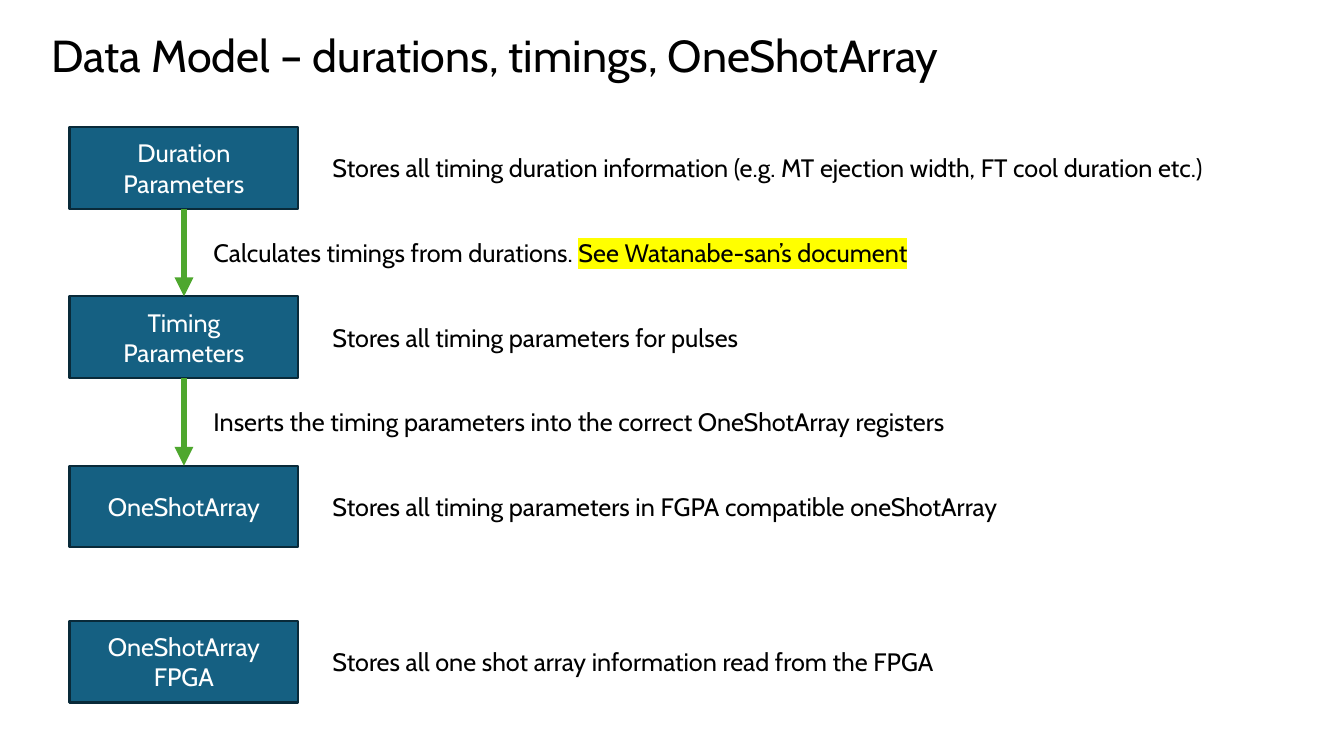
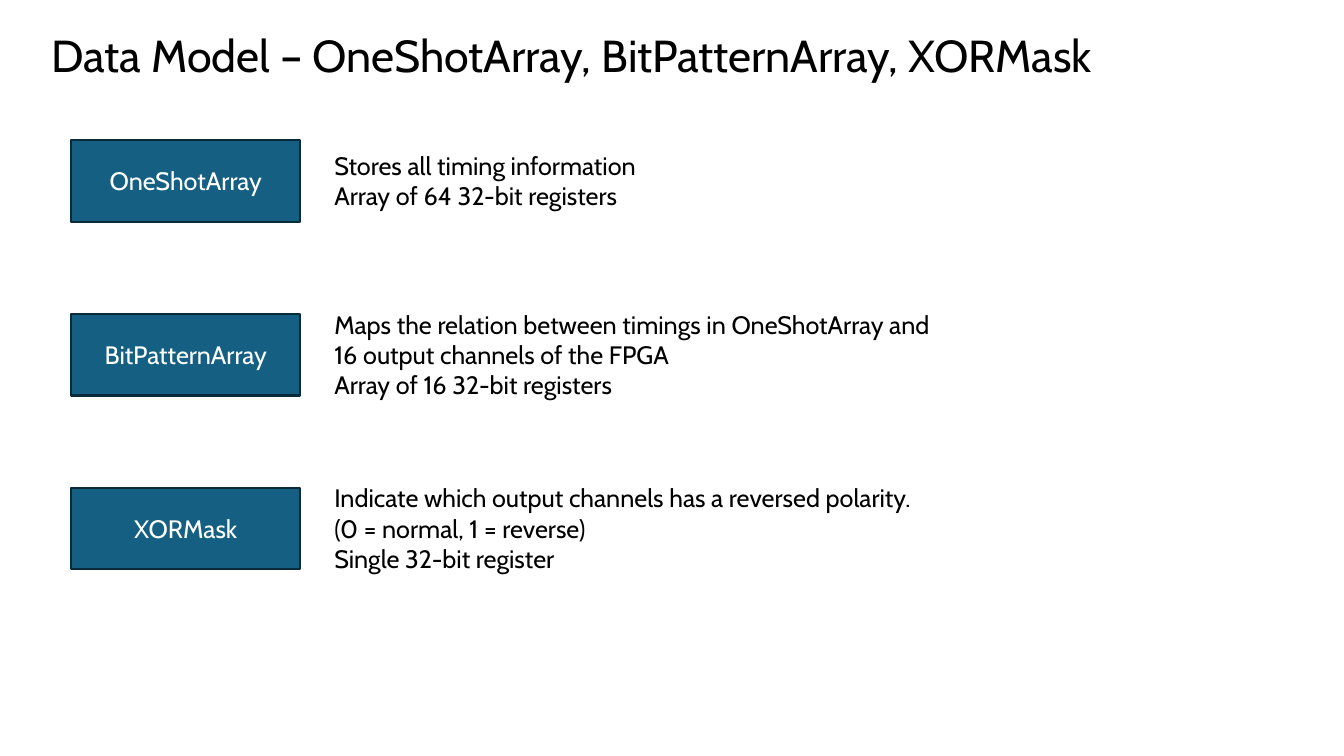
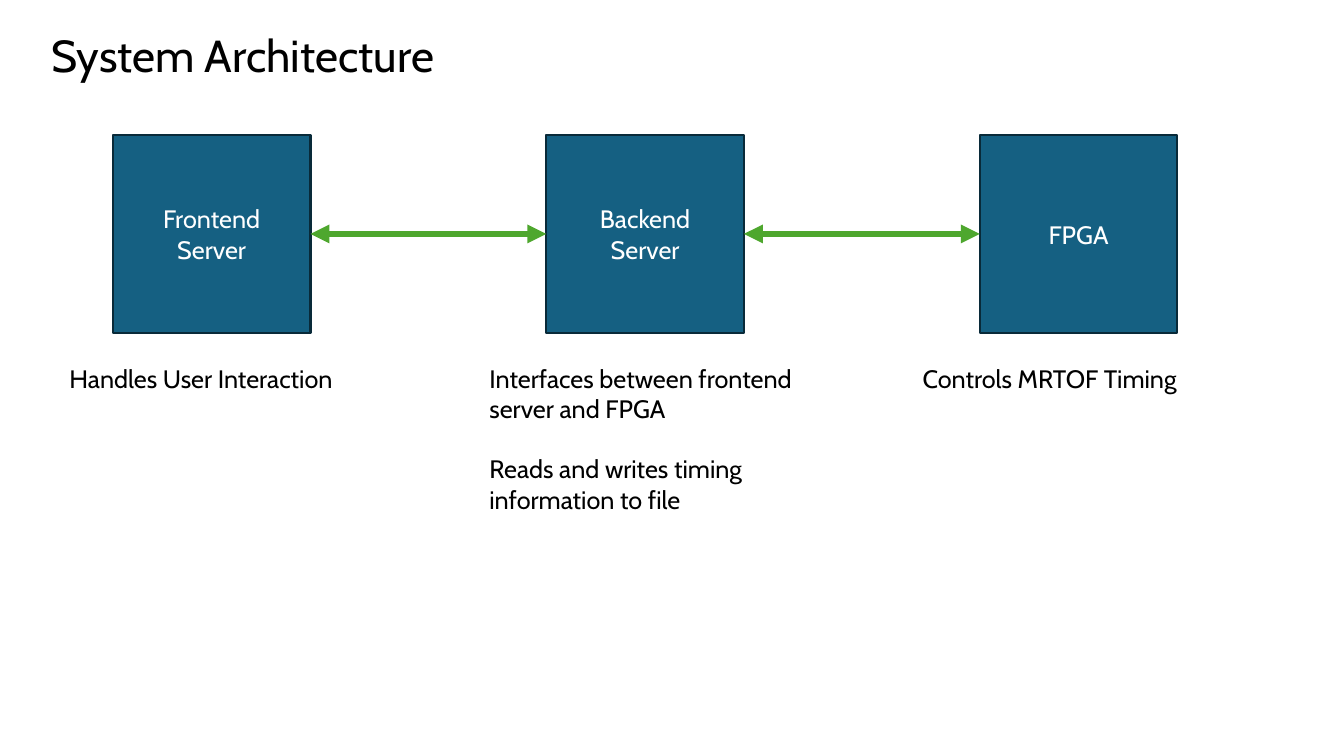
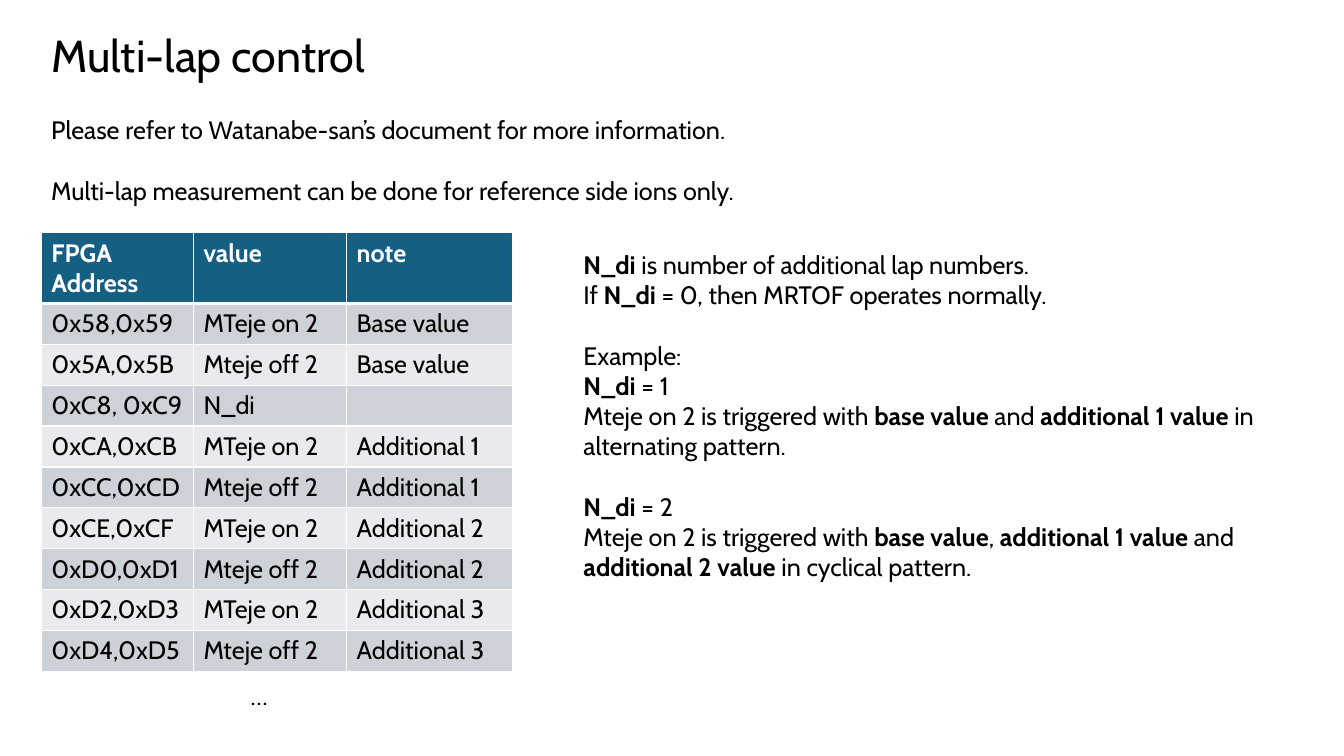
from lxml.etree import SubElement
from pptx import Presentation
from pptx.dml.color import RGBColor
from pptx.enum.shapes import MSO_CONNECTOR, MSO_SHAPE
from pptx.enum.text import MSO_ANCHOR, MSO_AUTO_SIZE, PP_ALIGN
from pptx.oxml.ns import qn
from pptx.util import Pt

# Shared style
FONT = "Cabin"
COLOURS = {
    "text": "000000",
    "inverse": "FFFFFF",
    "box": "156082",
    "outline": "092A39",
    "arrow": "4EA72E",
    "highlight": "FFFF00",
    "odd_row": "CCD2D8",
    "even_row": "E8EAED",
}
TITLE_SIZE, BODY_SIZE = 32, 18
MARGIN_LEFT = 29.5
LINE_HEIGHT, PADDING = 21.8, 7.2
BOX_WIDTH, BOX_HEIGHT = 163.4, 58.3
TEXT_OFFSET = 180.7
TOP, LEFT, BOTTOM, RIGHT = range(4)  # connection sites of a rectangle


def colour(name):
    return RGBColor.from_string(COLOURS[name])


def add_colour(parent, name):
    fill = SubElement(parent, qn("a:solidFill"))
    SubElement(fill, qn("a:srgbClr"), val=COLOURS[name])


def style(para, size=BODY_SIZE, shade="text", bold=False):
    font = para.font
    font.name, font.size, font.bold = FONT, Pt(size), bold
    font.color.rgb = colour(shade)


def emphasise(span, kind):
    if kind == "bold":
        span.font.bold = True
    else:
        mark = SubElement(span.font._element, qn("a:highlight"))
        SubElement(mark, qn("a:srgbClr"), val=COLOURS["highlight"])


def write(frame, lines, size=BODY_SIZE, shade="text", align=None, gaps=(), emphasis="bold"):
    """Write one paragraph per line; *starred* parts are emphasised, gaps go before paragraphs."""
    for index, line in enumerate(lines):
        para = frame.paragraphs[0] if index == 0 else frame.add_paragraph()
        style(para, size, shade)
        para.alignment = align
        if index in gaps:
            para.space_before = Pt(LINE_HEIGHT)
        for position, part in enumerate(line.split("*")):
            if part:
                span = para.add_run()
                span.text = part
                if position % 2:
                    emphasise(span, emphasis)


def add_text(page, left, top, width, lines, rows=1, height=None, **options):
    height = height or PADDING + rows * LINE_HEIGHT
    box = page.shapes.add_textbox(Pt(left), Pt(top), Pt(width), Pt(height))
    box.text_frame.word_wrap = True
    box.text_frame.auto_size = MSO_AUTO_SIZE.SHAPE_TO_FIT_TEXT
    write(box.text_frame, lines, **options)


def add_centred_text(page, left, middle, width, lines, rows=1, **options):
    top = middle - (PADDING + rows * LINE_HEIGHT) / 2
    add_text(page, left, top, width, lines, rows, **options)


def add_page(deck, title, title_width=862.6):
    page = deck.slides.add_slide(deck.slide_layouts[6])
    add_text(page, MARGIN_LEFT, 16.5, title_width, [title], height=46, size=TITLE_SIZE)
    return page


def add_box(page, left, top, lines, width=BOX_WIDTH, height=BOX_HEIGHT):
    box = page.shapes.add_shape(MSO_SHAPE.RECTANGLE, Pt(left), Pt(top), Pt(width), Pt(height))
    box.shadow.inherit = False
    box.fill.solid()
    box.fill.fore_color.rgb = colour("box")
    box.line.color.rgb = colour("outline")
    box.line.width = Pt(1.5)
    box.text_frame.word_wrap = True
    box.text_frame.vertical_anchor = MSO_ANCHOR.MIDDLE
    write(box.text_frame, lines, shade="inverse", align=PP_ALIGN.CENTER)
    return box


def add_arrow(page, start, start_site, end, end_site, ends=("tailEnd",)):
    arrow = page.shapes.add_connector(MSO_CONNECTOR.STRAIGHT, 0, 0, 0, 0)
    arrow.begin_connect(start, start_site)
    arrow.end_connect(end, end_site)
    arrow.line.color.rgb = colour("arrow")
    arrow.line.width = Pt(4.5)
    for end_name in ends:
        SubElement(arrow.line._get_or_add_ln(), qn(f"a:{end_name}"), type="triangle")
    SubElement(arrow._element.spPr, qn("a:effectLst"))


def fill_cell(cell, text, row):
    # Borders come before the fill in the cell properties
    properties = cell._tc.get_or_add_tcPr()
    heavy_side = {0: "lnB", 1: "lnT"}.get(row)
    for side in ("lnL", "lnR", "lnT", "lnB"):
        width = Pt(3 if side == heavy_side else 1)
        add_colour(SubElement(properties, qn(f"a:{side}"), w=str(width)), "inverse")
    cell.fill.solid()
    shade = "box" if row == 0 else "odd_row" if row % 2 else "even_row"
    cell.fill.fore_color.rgb = colour(shade)
    cell.text = text
    style(cell.text_frame.paragraphs[0], shade="text" if row else "inverse", bold=row == 0)


def add_grid(page, left, top, widths, header_height, row_height, rows):
    height = header_height + row_height * (len(rows) - 1)
    frame = page.shapes.add_table(
        len(rows), len(widths), Pt(left), Pt(top), Pt(sum(widths)), Pt(height))
    table = frame.table
    for column, width in zip(table.columns, widths):
        column.width = Pt(width)
    for index, values in enumerate(rows):
        table.rows[index].height = Pt(row_height if index else header_height)
        for column, text in enumerate(values):
            fill_cell(table.cell(index, column), text, index)


def build_timing_page(deck):
    page = add_page(deck, "Data Model – durations, timings, OneShotArray", 740.2)
    left, first_top, pitch = 49.7, 90.7, 121
    tops = [first_top + pitch * step for step in range(3)] + [443.5]
    stages = [
        (["Duration", "Parameters"],
         "Stores all timing duration information (e.g. MT ejection width, FT cool duration etc.)"),
        (["Timing", "Parameters"], "Stores all timing parameters for pulses"),
        (["OneShotArray"], "Stores all timing parameters in FGPA compatible oneShotArray"),
        (["OneShotArray", "FPGA"], "Stores all one shot array information read from the FPGA"),
    ]
    boxes = []
    for top, (name, description) in zip(tops, stages):
        boxes.append(add_box(page, left, top, name))
        add_centred_text(page, left + TEXT_OFFSET, top + BOX_HEIGHT / 2, 660.2, [description])

    # Steps between the first three boxes
    steps = [
        "Calculates timings from durations. *See Watanabe-san’s document*",
        "Inserts the timing parameters into the correct OneShotArray registers",
    ]
    for index, step in enumerate(steps):
        add_arrow(page, boxes[index], BOTTOM, boxes[index + 1], TOP)
        middle = (tops[index] + BOX_HEIGHT + tops[index + 1]) / 2
        add_centred_text(page, 145.4, middle, 560.9, [step], emphasis="highlight")


def build_register_page(deck):
    page = add_page(deck, "Data Model – OneShotArray, BitPatternArray, XORMask")
    left, first_top, pitch = 51, 100, 124.2
    registers = [
        ("OneShotArray", 2, ["Stores all timing information", "Array of 64 32-bit registers"]),
        ("BitPatternArray", 3, [
            "Maps the relation between timings in OneShotArray and 16 output channels of the FPGA",
            "Array of 16 32-bit registers"]),
        ("XORMask", 3, [
            "Indicate which output channels has a reversed polarity.",
            "(0 = normal, 1 = reverse)",
            "Single 32-bit register"]),
    ]
    for index, (name, rows, description) in enumerate(registers):
        top = first_top + pitch * index
        add_box(page, left, top, [name])
        add_centred_text(
            page, left + TEXT_OFFSET, top + BOX_HEIGHT / 2, 453.6, description, rows)


def build_architecture_page(deck):
    page = add_page(deck, "System Architecture")
    left, top, side, pitch = 80.6, 96.5, 141.2, 309.6
    # Name, caption left, caption rows, caption
    parts = [
        (["Frontend", "Server"], 42.5, 1, ["Handles User Interaction"]),
        (["Backend", "Server"], 342.5, 5, [
            "Interfaces between frontend server and FPGA",
            "Reads and writes timing information to file"]),
        (["FPGA"], 652, 1, ["Controls MRTOF Timing"]),
    ]
    boxes = []
    for index, (name, caption_left, rows, caption) in enumerate(parts):
        boxes.append(add_box(page, left + pitch * index, top, name, side, side))
        add_text(page, caption_left, 255.6, 236.2, caption, rows, gaps=(1,))
    for start, end in zip(boxes, boxes[1:]):
        add_arrow(page, start, RIGHT, end, LEFT, ("headEnd", "tailEnd"))


def build_lap_page(deck):
    page = add_page(deck, "Multi-lap control", 347)
    add_text(page, MARGIN_LEFT, 77.8, 512.6,
             ["Please refer to Watanabe-san’s document for more information."])
    add_text(page, MARGIN_LEFT, 121.7, 512.6,
             ["Multi-lap measurement can be done for reference side ions only."])

    # Register table
    rows = [
        ("FPGA Address", "value", "note"),
        ("0x58,0x59", "MTeje on 2", "Base value"),
        ("0x5A,0x5B", "Mteje off 2", "Base value"),
        ("0xC8, 0xC9", "N_di", ""),
        ("0xCA,0xCB", "MTeje on 2", "Additional 1"),
        ("0xCC,0xCD", "Mteje off 2", "Additional 1"),
        ("0xCE,0xCF", "MTeje on 2", "Additional 2"),
        ("0xD0,0xD1", "Mteje off 2", "Additional 2"),
        ("0xD2,0xD3", "MTeje on 2", "Additional 3"),
        ("0xD4,0xD5", "Mteje off 2", "Additional 3"),
    ]
    add_grid(page, MARGIN_LEFT, 166.3, (108.7, 109.4, 118.8), 50, 29.2, rows)

    # Explanation
    add_text(page, 409.7, 174.2, 512.6, [
        "*N_di* is number of additional lap numbers.",
        "If *N_di* = 0, then MRTOF operates normally.",
        "Example:",
        "*N_di* = 1",
        "Mteje on 2 is triggered with *base value* and *additional 1 value* in alternating pattern.",
        "*N_di* = 2",
        "Mteje on 2 is triggered with *base value*, *additional 1 value* and "
        "*additional 2 value* in cyclical pattern.",
    ], rows=12, gaps=(2, 5))
    add_text(page, 172, 482.4, 103.7, ["…"])


def main():
    deck = Presentation()
    deck.slide_width, deck.slide_height = Pt(960), Pt(540)
    build_timing_page(deck)
    build_register_page(deck)
    build_architecture_page(deck)
    build_lap_page(deck)
    deck.save("out.pptx")


if __name__ == "__main__":
    main()
